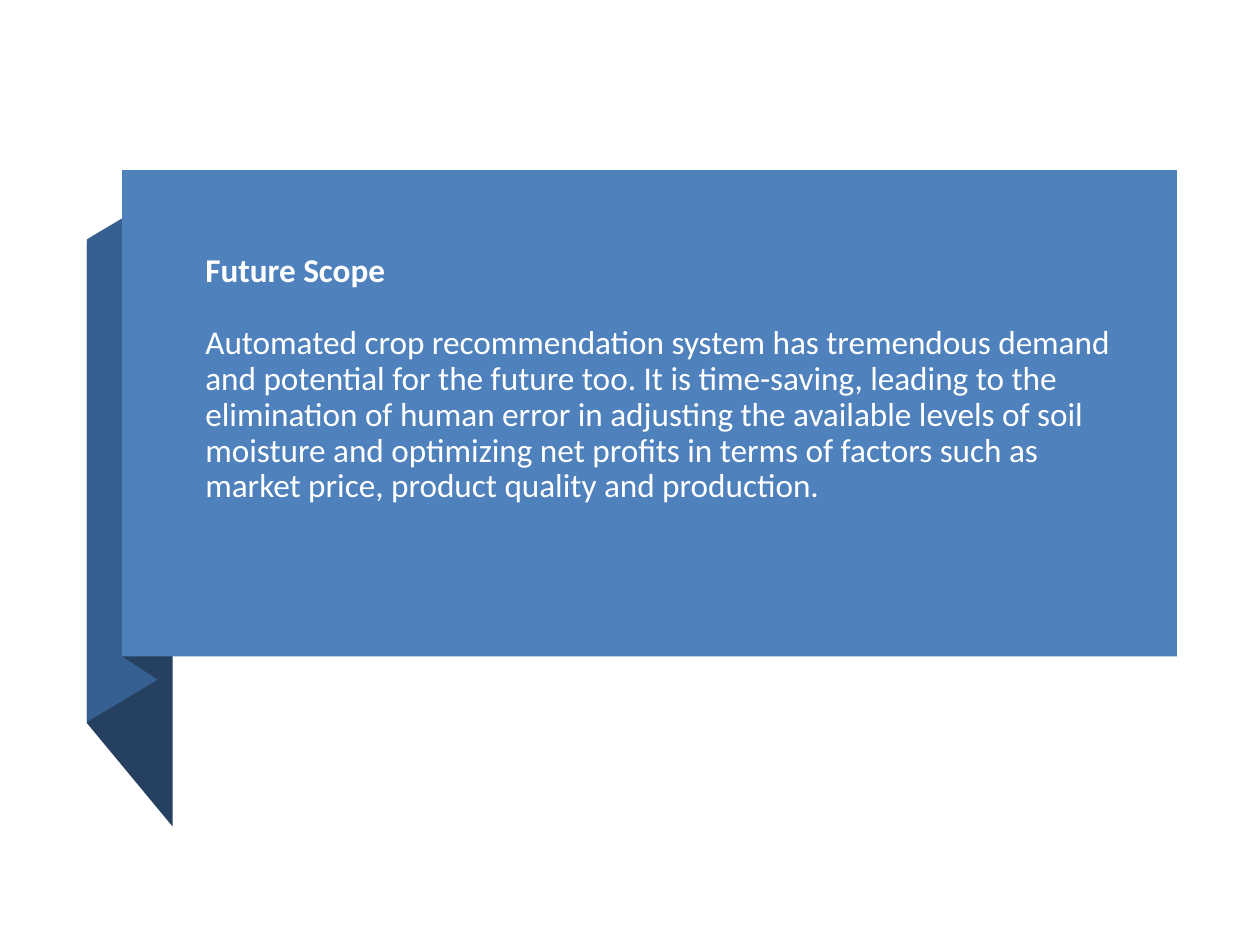
import pptx
import pptx.util
import pptx.dml.color
import pptx.enum.shapes
import pptx.enum.text

Inches, Pt = pptx.util.Inches, pptx.util.Pt

HEADING = "Future Scope"
STATEMENT = (
    "Automated crop recommendation system has tremendous demand and potential "
    "for the future too. It is time-saving, leading to the elimination of human "
    "error in adjusting the available levels of soil moisture and optimizing net "
    "profits in terms of factors such as market price, product quality and production."
)
COLORS = {"panel": "4F81BD", "ribbon": "376092", "fold": "254061", "text": "FFFFFF"}

# Ribbon edges in inches, from left to right
OUTER, PANEL_LEFT, INNER, TAIL = 0.69, 0.97, 1.26, 1.37
PANEL = (PANEL_LEFT, 1.35, 8.37, 3.86)
TITLE = (1.53, 1.76, 7.58, 3.15)

# Ribbon pieces from back to front: colour and corners
RIBBON = [
    ("fold", [(OUTER, 5.74), (TAIL, 6.56), (TAIL, 2.76), (OUTER, 1.93)]),
    ("ribbon", [(OUTER, 5.73), (INNER, 5.39), (INNER, 1.56), (OUTER, 1.9)]),
    ("fold", [(PANEL_LEFT, 5.21), (INNER, 5.4), (INNER, 1.55), (PANEL_LEFT, 1.36)]),
]


def rgb(name):
    return pptx.dml.color.RGBColor.from_string(COLORS[name])


def paint(shape, color):
    shape.shadow.inherit = False
    shape.fill.solid()
    shape.fill.fore_color.rgb = rgb(color)
    shape.line.fill.background()


deck = pptx.Presentation()
deck.slide_width, deck.slide_height = Inches(10), Inches(7.5)
slide = deck.slides.add_slide(deck.slide_layouts[5])
title = slide.shapes.title

# Folded ribbon
for color, corners in RIBBON:
    points = [(Inches(x), Inches(y)) for x, y in corners]
    outline = slide.shapes.build_freeform(*points[0])
    outline.add_line_segments(points[1:], close=True)
    paint(outline.convert_to_shape(), color)

# Panel
panel = slide.shapes.add_shape(
    pptx.enum.shapes.MSO_SHAPE.RECTANGLE, *map(Inches, PANEL))
paint(panel, "panel")

# Title text, brought in front of the panel
panel.element.addnext(title.element)
title.left, title.top, title.width, title.height = map(Inches, TITLE)
frame = title.text_frame
frame.text = HEADING
frame.add_paragraph().text = STATEMENT
frame.word_wrap = True
frame.auto_size = pptx.enum.text.MSO_AUTO_SIZE.NONE
frame.vertical_anchor = pptx.enum.text.MSO_ANCHOR.BOTTOM
frame.margin_bottom = Inches(0.9)
for paragraph, bold, gap in zip(frame.paragraphs, (True, False), (20.5, 0)):
    paragraph.alignment = pptx.enum.text.PP_ALIGN.LEFT
    paragraph.line_spacing = 0.9
    paragraph.space_before = Pt(0)
    paragraph.space_after = Pt(gap)
    font = paragraph.runs[0].font
    font.name, font.size, font.bold = "Calibri", Pt(19), bold
    font.color.rgb = rgb("text")

deck.save("out.pptx")
